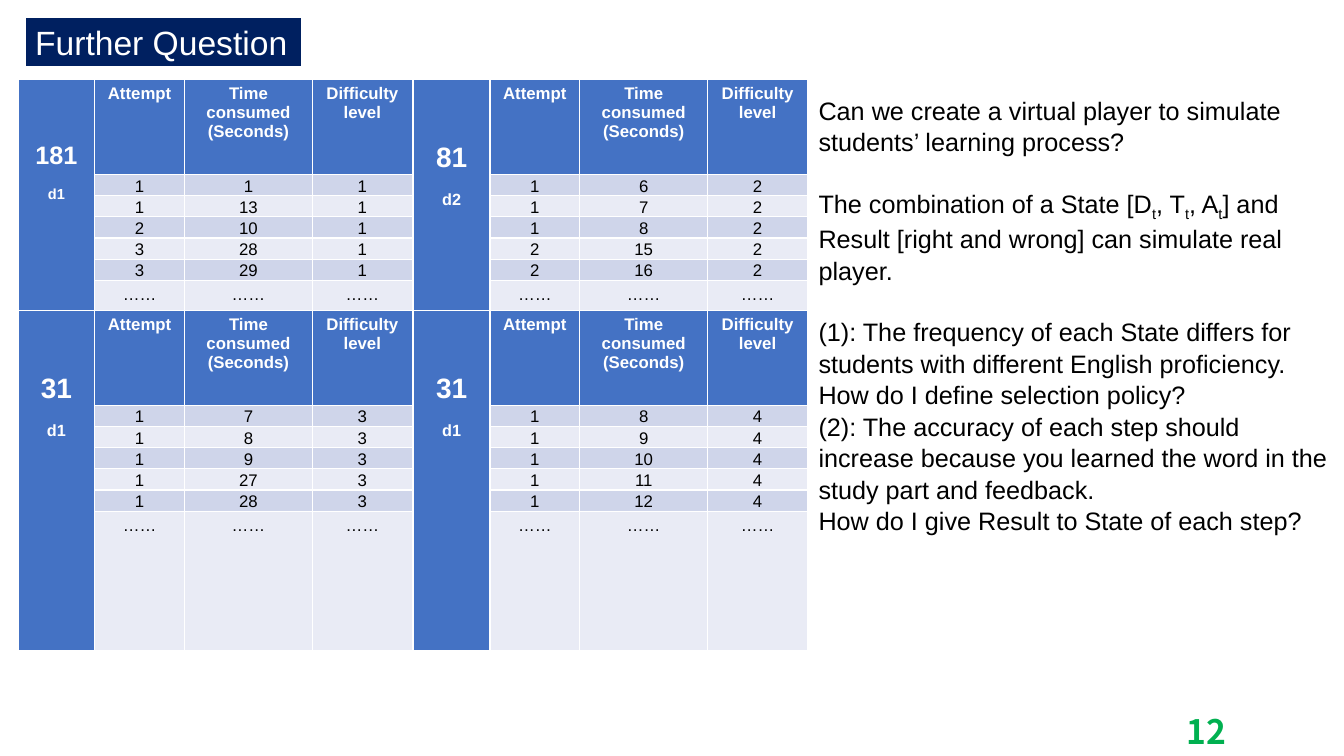
from pptx import Presentation
from pptx.dml.color import RGBColor
from pptx.enum.shapes import MSO_SHAPE
from pptx.enum.text import MSO_ANCHOR, PP_ALIGN
from pptx.util import Inches, Pt

LEFT, CENTER = PP_ALIGN.LEFT, PP_ALIGN.CENTER
MIDDLE, BOTTOM = MSO_ANCHOR.MIDDLE, MSO_ANCHOR.BOTTOM
RECTANGLE = MSO_SHAPE.RECTANGLE

COLORS = {
    "navy": "002060",
    "header": "4472C4",
    "band_dark": "CFD5EA",
    "band_light": "E9EBF5",
    "white": "FFFFFF",
    "black": "000000",
    "green": "00B050",
}

# Attempt tables
TABLES_LEFT, TABLES_TOP = 0.18, 0.79
TABLE_WIDTH, TABLE_HEIGHT = 3.92, 2.29
COLUMN_WIDTHS = [0.76, 0.89, 1.27, 0.99]
ROW_HEIGHTS = [0.94] + [0.2] * 5 + [0.25]
HEADINGS = ["Attempt", "Time consumed (Seconds)", "Difficulty level"]

# Each group: count, label, count size, difficulty level, (attempt, seconds) pairs
GROUPS = [
    ("181", "d1", 18, 1, [(1, 1), (1, 13), (2, 10), (3, 28), (3, 29)]),
    ("81", "d2", 20, 2, [(1, 6), (1, 7), (1, 8), (2, 15), (2, 16)]),
    ("31", "d1", 20, 3, [(1, 7), (1, 8), (1, 9), (1, 27), (1, 28)]),
    ("31", "d1", 20, 4, [(1, 8), (1, 9), (1, 10), (1, 11), (1, 12)]),
]

# Each paragraph: space before in points, then text with subscripts between underscores
QUESTIONS = [
    (0, "Can we create a virtual player to simulate students’ learning process?"),
    (21.6, "The combination of a State [D_t_, T_t_, A_t_] and Result [right and wrong] "
           "can simulate real player."),
    (21.6, "(1): The frequency of each State differs for students with different English "
           "proficiency. How do I define selection policy?"),
    (0, "(2): The accuracy of each step should increase because you learned the word in "
        "the study part and feedback."),
    (0, "How do I give Result to State of each step?"),
]


def color(name):
    return RGBColor.from_string(COLORS[name])


def write(paragraph, text, size=12, ink="black", bold=False, font="Arial",
          align=LEFT, before=0, spacing=None):
    """Fill a paragraph; text between underscores becomes subscript."""
    paragraph.alignment = align
    paragraph.space_before = Pt(before)
    paragraph.line_spacing = spacing
    for index, part in enumerate(text.split("_")):
        if not part:
            continue
        run = paragraph.add_run()
        run.text = part
        run.font.size = Pt(size)
        run.font.name = font
        run.font.bold = bold
        run.font.color.rgb = color(ink)
        if index % 2:
            run.font._element.set("baseline", "-25000")


def add_text_box(slide, left, top, width, height):
    frame = slide.shapes.add_textbox(
        Inches(left), Inches(top), Inches(width), Inches(height)).text_frame
    frame.word_wrap = True
    return frame


def add_title(slide, text):
    title = slide.shapes.add_shape(
        RECTANGLE, Inches(0.25), Inches(0.17), Inches(2.75), Inches(0.5))
    title.shadow.inherit = False
    title.fill.solid()
    title.fill.fore_color.rgb = color("navy")
    title.line.color.rgb = color("white")
    title.line.width = Pt(1.5)
    title.text_frame.vertical_anchor = MIDDLE
    title.text_frame.word_wrap = False
    write(title.text_frame.paragraphs[0], text, size=24, ink="white")


def fill_cell(cell, name):
    cell.fill.solid()
    cell.fill.fore_color.rgb = color(name)


def add_attempt_table(slide, left, top, group):
    count, label, count_size, level, attempts = group
    table = slide.shapes.add_table(
        len(ROW_HEIGHTS), len(COLUMN_WIDTHS), Inches(left), Inches(top),
        Inches(TABLE_WIDTH), Inches(TABLE_HEIGHT)).table
    for column, width in zip(table.columns, COLUMN_WIDTHS):
        column.width = Inches(width)
    for row, height in zip(table.rows, ROW_HEIGHTS):
        row.height = Inches(height)

    # Group cell down the left side
    for row in range(len(ROW_HEIGHTS)):
        fill_cell(table.cell(row, 0), "header")
    group_cell = table.cell(0, 0)
    group_cell.merge(table.cell(len(ROW_HEIGHTS) - 1, 0))
    group_cell.margin_top = Inches(0.62)
    frame = group_cell.text_frame
    group_format = {"size": count_size, "ink": "white", "bold": True, "align": CENTER}
    write(frame.paragraphs[0], count, **group_format)
    write(frame.add_paragraph(), f"_{label}_", **group_format)

    # Headings, attempts and closing dots
    rows = [HEADINGS, *[(*attempt, level) for attempt in attempts], ["……"] * 3]
    for row, values in enumerate(rows):
        heading = row == 0
        band = "header" if heading else "band_dark" if row % 2 else "band_light"
        for column, value in enumerate(values, start=1):
            cell = table.cell(row, column)
            fill_cell(cell, band)
            if 0 < row < len(rows) - 1:
                cell.vertical_anchor = BOTTOM
                cell.margin_left = cell.margin_right = cell.margin_top = Inches(0.01)
                cell.margin_bottom = 0
            write(cell.text_frame.paragraphs[0], str(value), bold=heading,
                  ink="white" if heading else "black", align=CENTER)


def add_questions(slide):
    frame = add_text_box(slide, 8.02, 0.88, 5.32, 4.34)
    for index, (before, text) in enumerate(QUESTIONS):
        paragraph = frame.add_paragraph() if index else frame.paragraphs[0]
        write(paragraph, text, size=18, before=before, spacing=1.04)


def main():
    deck = Presentation()
    deck.slide_width, deck.slide_height = Inches(13.33), Inches(7.5)
    slide = deck.slides.add_slide(deck.slide_layouts[6])

    # Page number
    page_number = add_text_box(slide, 11.67, 7, 1.23, 0.5)
    write(page_number.paragraphs[0], "12", size=24, ink="green", bold=True,
          font="Noto Sans CJK SC")

    add_title(slide, "Further Question")

    # Two by two grid of tables
    for index, group in enumerate(GROUPS):
        grid_row, grid_column = divmod(index, 2)
        add_attempt_table(slide, TABLES_LEFT + grid_column * TABLE_WIDTH,
                          TABLES_TOP + grid_row * TABLE_HEIGHT, group)

    add_questions(slide)
    deck.save("out.pptx")


if __name__ == "__main__":
    main()
